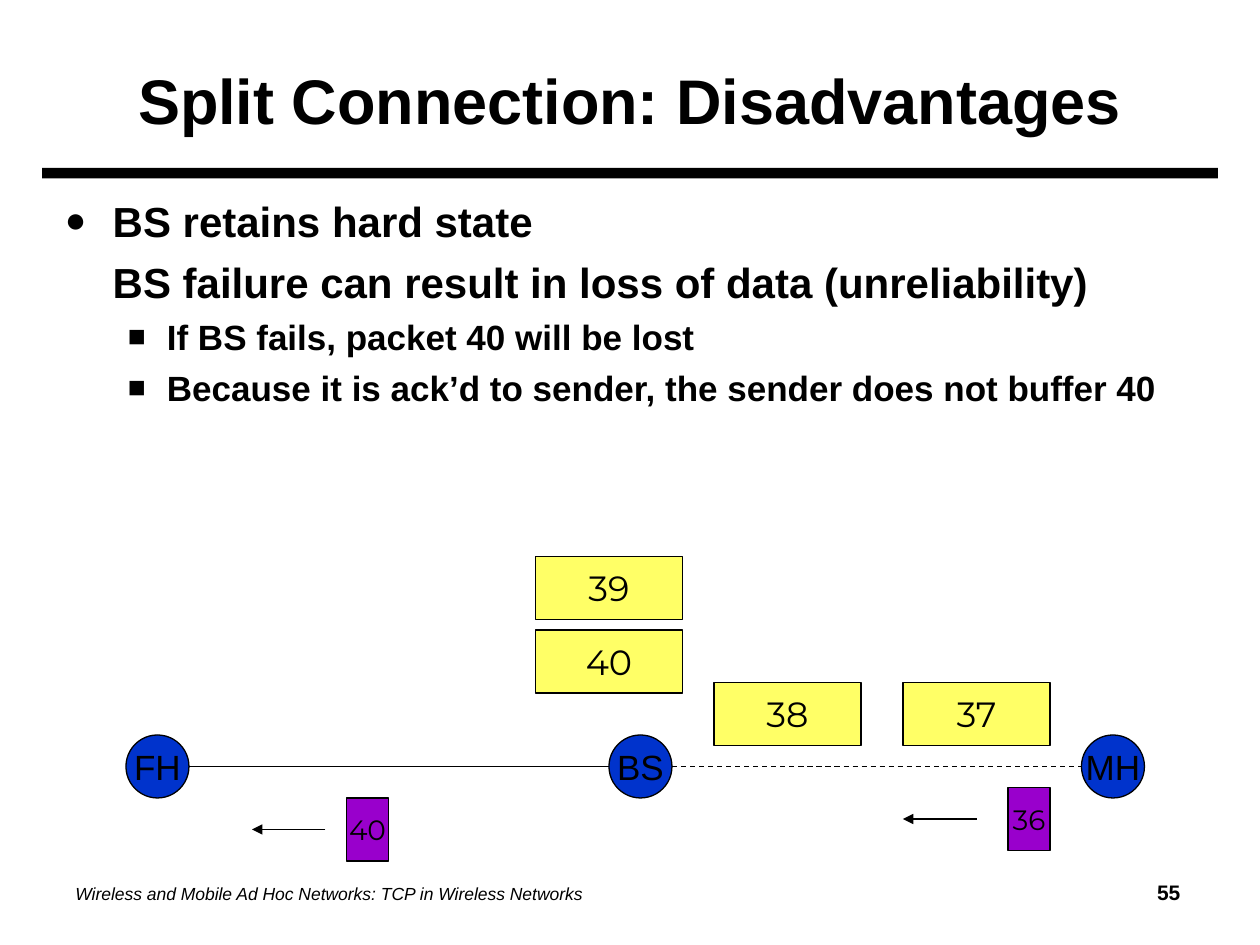
from dataclasses import dataclass

from lxml import etree
from pptx import Presentation
from pptx import util as u
from pptx.dml.color import RGBColor
from pptx.enum import dml, shapes, text
from pptx.oxml.ns import qn

COLORS = {"ink": "000000", "node": "0033CC", "data": "FFFF66", "ack": "9900CC"}
COLS, ROWS = 120, 90
prs = Presentation()
prs.slide_width, prs.slide_height = u.Inches(10), u.Inches(7.5)
s = prs.slides.add_slide(prs.slide_layouts[6])


@dataclass
class Style:
    size: float
    font: str = "Arial"
    bold: bool = False
    italic: bool = False


@dataclass
class Kind:
    shape: int
    cols: float
    rows: float
    color: str
    style: Style


@dataclass
class Block:
    kind: Kind
    label: str
    col: float
    row: float


@dataclass
class Line:
    start: float
    end: float
    row: float
    dashed: bool = False
    arrow: bool = False


@dataclass
class Bullet:
    label: str
    size: float
    margin: float
    hang: float
    char: str = ""
    before: float = 0


def x(col: float) -> int:
    return round(prs.slide_width * col / COLS)


def y(row: float) -> int:
    return round(prs.slide_height * row / ROWS)


def rgb(name: str) -> RGBColor:
    return RGBColor.from_string(COLORS[name])


def format_run(r, style: Style) -> None:
    r.font.size, r.font.name = u.Pt(style.size), style.font
    r.font.bold, r.font.italic = style.bold, style.italic
    r.font.color.rgb = rgb("ink")


def add_text(col: float, row: float, cols: float, rows: float, anchor):
    tf = s.shapes.add_textbox(x(col), y(row), x(cols), y(rows)).text_frame
    tf.word_wrap, tf.vertical_anchor = True, anchor
    return tf


def add_box(kind: Kind, col: float, row: float):
    sp = s.shapes.add_shape(kind.shape, x(col), y(row), x(kind.cols), y(kind.rows))
    sp.shadow.inherit = False
    sp.fill.solid()
    sp.fill.fore_color.rgb = rgb(kind.color)
    return sp


def add_block(block: Block) -> None:
    sp = add_box(block.kind, block.col, block.row)
    sp.line.color.rgb, sp.line.width = rgb("ink"), u.Pt(0.75)
    tf = sp.text_frame
    tf.text = block.label
    tf.word_wrap, tf.vertical_anchor = False, text.MSO_ANCHOR.MIDDLE
    tf.paragraphs[0].alignment = text.PP_ALIGN.CENTER
    format_run(tf.paragraphs[0].runs[0], block.kind.style)


def add_line(line: Line) -> None:
    c = s.shapes.add_connector(shapes.MSO_CONNECTOR.STRAIGHT,
                               x(line.start), y(line.row), x(line.end), y(line.row))
    c.line.color.rgb, c.line.width = rgb("ink"), u.Pt(0.75)
    if line.dashed:
        c.line.dash_style = dml.MSO_LINE.DASH
    if line.arrow:
        etree.SubElement(c.line._get_or_add_ln(), qn("a:tailEnd"), type="triangle")
    etree.SubElement(c._element.spPr, qn("a:effectLst"))


def add_bullet(p, bullet: Bullet) -> None:
    p.text = bullet.label
    pPr = p._p.get_or_add_pPr()
    pPr.set("marL", str(u.Inches(bullet.margin)))
    pPr.set("indent", str(-u.Inches(bullet.hang)))
    if bullet.char:
        color = etree.SubElement(pPr, qn("a:buClr"))
        etree.SubElement(color, qn("a:srgbClr"), val=COLORS["ink"])
        etree.SubElement(pPr, qn("a:buSzPct"), val="85000")
        etree.SubElement(pPr, qn("a:buFont"), typeface="Arial")
        etree.SubElement(pPr, qn("a:buChar"), char=bullet.char)
    if bullet.before:
        p.space_before = u.Pt(bullet.before)
    format_run(p.runs[0], Style(bullet.size, bold=True))


def add_footer(label: str, number: str) -> None:
    p = add_text(6, 82, 108, 6, text.MSO_ANCHOR.MIDDLE).paragraphs[0]
    tabs = etree.SubElement(p._p.get_or_add_pPr(), qn("a:tabLst"))
    etree.SubElement(tabs, qn("a:tab"), pos=str(u.Inches(8.77)), algn="r")
    for part, style in ((label, Style(10, italic=True)), ("\t" + number, Style(12, bold=True))):
        r = p.add_run()
        r.text = part
        format_run(r, style)


RECT, OVAL = shapes.MSO_SHAPE.RECTANGLE, shapes.MSO_SHAPE.OVAL
RULE = Kind(RECT, 112, 1, "ink", Style(12))
NODE = Kind(OVAL, 6, 6, "node", Style(20))
DATA = Kind(RECT, 14, 6, "data", Style(20, "Montserrat"))
ACK = Kind(RECT, 4, 6, "ack", Style(16, "Montserrat"))

BULLETS = [
    Bullet("BS retains hard state", 24, 0.38, 0.38, "●"),
    Bullet("BS failure can result in loss of data (unreliability)", 24, 0.38, 0, before=6),
    Bullet("If BS fails, packet 40 will be lost", 20, 0.81, 0.31, "■", 5),
    Bullet("Because it is ack’d to sender, the sender does not buffer 40", 20, 0.81, 0.31, "■", 5),
]
BLOCKS = [
    Block(NODE, "FH", 12, 70), Block(NODE, "BS", 58, 70), Block(NODE, "MH", 103, 70),
    Block(DATA, "39", 51, 53), Block(DATA, "40", 51, 60),
    Block(DATA, "38", 68, 65), Block(DATA, "37", 86, 65),
    Block(ACK, "36", 96, 75), Block(ACK, "40", 33, 76),
]
LINES = [
    Line(18, 58, 73), Line(64, 103, 73, dashed=True),
    Line(93, 86, 78, arrow=True), Line(31, 24, 79, arrow=True),
]


def main() -> None:
    add_box(RULE, 4, 16).line.fill.background()
    add_footer("Wireless and Mobile Ad Hoc Networks: TCP in Wireless Networks", "55")

    tf = add_text(6, 3, 108, 13, text.MSO_ANCHOR.MIDDLE)
    tf.text = "Split Connection: Disadvantages"
    tf.paragraphs[0].alignment = text.PP_ALIGN.CENTER
    format_run(tf.paragraphs[0].runs[0], Style(36, bold=True))

    tf = add_text(5, 18, 109, 63, text.MSO_ANCHOR.TOP)
    for i, bullet in enumerate(BULLETS):
        add_bullet(tf.add_paragraph() if i else tf.paragraphs[0], bullet)

    for block in BLOCKS:
        add_block(block)
    for line in LINES:
        add_line(line)
    prs.save("out.pptx")


if __name__ == "__main__":
    main()
